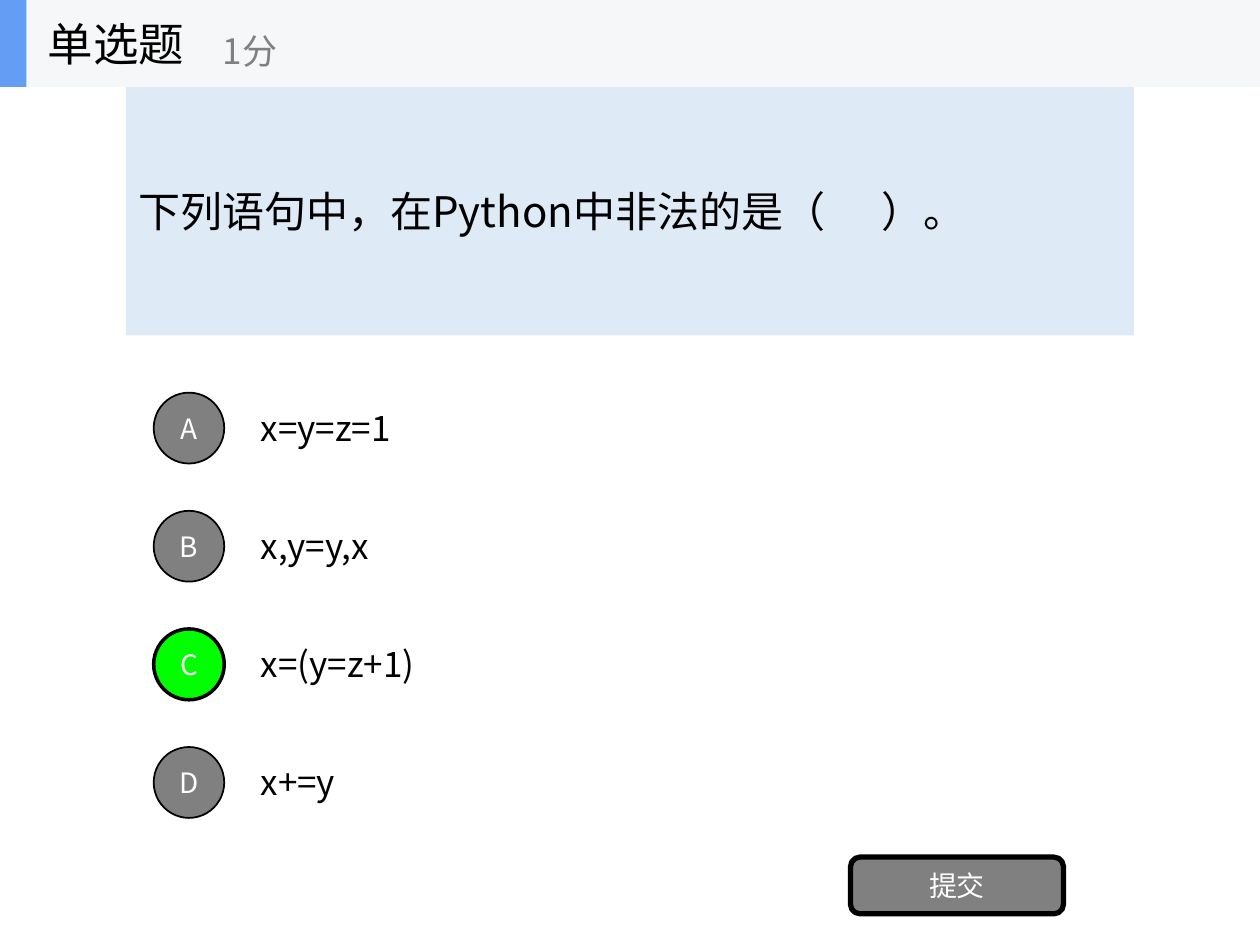
import pptx
import pptx.dml.color
import pptx.enum.shapes
import pptx.enum.text
import pptx.oxml
import pptx.oxml.ns
import pptx.util

WIDTH, HEIGHT = pptx.util.Inches(10), pptx.util.Inches(7.5)
FONT = "Noto Sans CJK SC"
BLACK, WHITE, GREY, GREEN = "000000", "FFFFFF", "808080", "00FF00"
HEADER_HEIGHT = 9.2
OPTION_PITCH = 12.5
OPTIONS = {"A": "x=y=z=1", "B": "x,y=y,x", "C": "x=(y=z+1)", "D": "x+=y"}
ANSWER = "C"
SHAPES = pptx.enum.shapes.MSO_SHAPE
ALIGN = pptx.enum.text.PP_ALIGN


def color(code):
    """Turn a hex string into a colour."""
    return pptx.dml.color.RGBColor.from_string(code)


def area(left, top, width, height):
    """Turn percentages of the slide's size into lengths."""
    shares = ((left, WIDTH), (top, HEIGHT), (width, WIDTH), (height, HEIGHT))
    return [round(share * full / 100) for share, full in shares]


def assign(target, values):
    """Set every attribute named in a dict."""
    for name, value in values.items():
        setattr(target, name, value)


def write(box, text, size, code, align=ALIGN.LEFT):
    """Put one formatted line of text into a box."""
    frame = box.text_frame
    assign(frame, {"word_wrap": True,
                   "auto_size": pptx.enum.text.MSO_AUTO_SIZE.NONE,
                   "vertical_anchor": pptx.enum.text.MSO_ANCHOR.MIDDLE})
    para = frame.paragraphs[0]
    para.alignment = align
    span = para.add_run()
    span.text = text
    assign(span.font, {"name": FONT, "size": pptx.util.Pt(size)})
    span.font.color.rgb = color(code)
    asian = pptx.oxml.parse_xml(
        f'<a:ea {pptx.oxml.ns.nsdecls("a")} typeface="{FONT}"/>')
    span.font._element.find(pptx.oxml.ns.qn("a:latin")).addnext(asian)


def add_block(page, kind, place, fill, line_width=0):
    """Add a filled shape, outlined in black when a width is given."""
    block = page.shapes.add_shape(kind, *area(*place))
    block.shadow.inherit = False
    block.fill.solid()
    block.fill.fore_color.rgb = color(fill)
    if line_width:
        block.line.color.rgb = color(BLACK)
        block.line.width = pptx.util.Pt(line_width)
    else:
        block.line.fill.background()
    return block


def add_label(page, place, text, size, code):
    """Add a plain text box."""
    write(page.shapes.add_textbox(*area(*place)), text, size, code)


def add_header(page):
    """Add the header band with the question type and its points."""
    add_block(page, SHAPES.RECTANGLE, (0, 0, 100, HEADER_HEIGHT), "F6F7F8")
    add_block(page, SHAPES.RECTANGLE, (0, 0, 2.1, HEADER_HEIGHT), "639EF4")
    title = page.shapes.title
    places = area(2.8, 0, 20.8, HEADER_HEIGHT)
    assign(title, dict(zip(("left", "top", "width", "height"), places)))
    write(title, "单选题", 26, BLACK)
    page.shapes._spTree.append(title._element)
    add_label(page, (16.7, 1.6, 25, 7.5), "1分", 20, GREY)


def add_option(page, row, letter, text):
    """Add one answer with its lettered circle."""
    offset = row * OPTION_PITCH
    chosen = letter == ANSWER
    add_label(page, (19.7, 40.6, 16.2, 9.3), text, 20, BLACK) if not row else \
        add_label(page, (19.7, 40.6 + offset, 16.2, 9.3), text, 20, BLACK)
    circle = add_block(page, SHAPES.OVAL, (12.2, 41.55 + offset, 5.6, 7.5),
                       GREEN if chosen else GREY, 2 if chosen else 1)
    assign(circle.text_frame, {"margin_left": 0, "margin_right": 0})
    write(circle, letter, 16, WHITE, ALIGN.CENTER)


def main():
    """Build the quiz slide."""
    deck = pptx.Presentation()
    assign(deck, {"slide_width": WIDTH, "slide_height": HEIGHT})
    page = deck.slides.add_slide(deck.slide_layouts[5])
    question = add_block(page, SHAPES.RECTANGLE,
                         (10, HEADER_HEIGHT, 80, 26.3), "DEEBF7")
    write(question, "下列语句中，在Python中非法的是（      ）。", 24, BLACK)
    for row, (letter, text) in enumerate(OPTIONS.items()):
        add_option(page, row, letter, text)
    button = add_block(page, SHAPES.ROUNDED_RECTANGLE,
                       (67.5, 90.7, 16.9, 6), GREY, 3)
    write(button, "提交", 16, WHITE, ALIGN.CENTER)
    add_header(page)
    deck.save("out.pptx")


if __name__ == "__main__":
    main()
